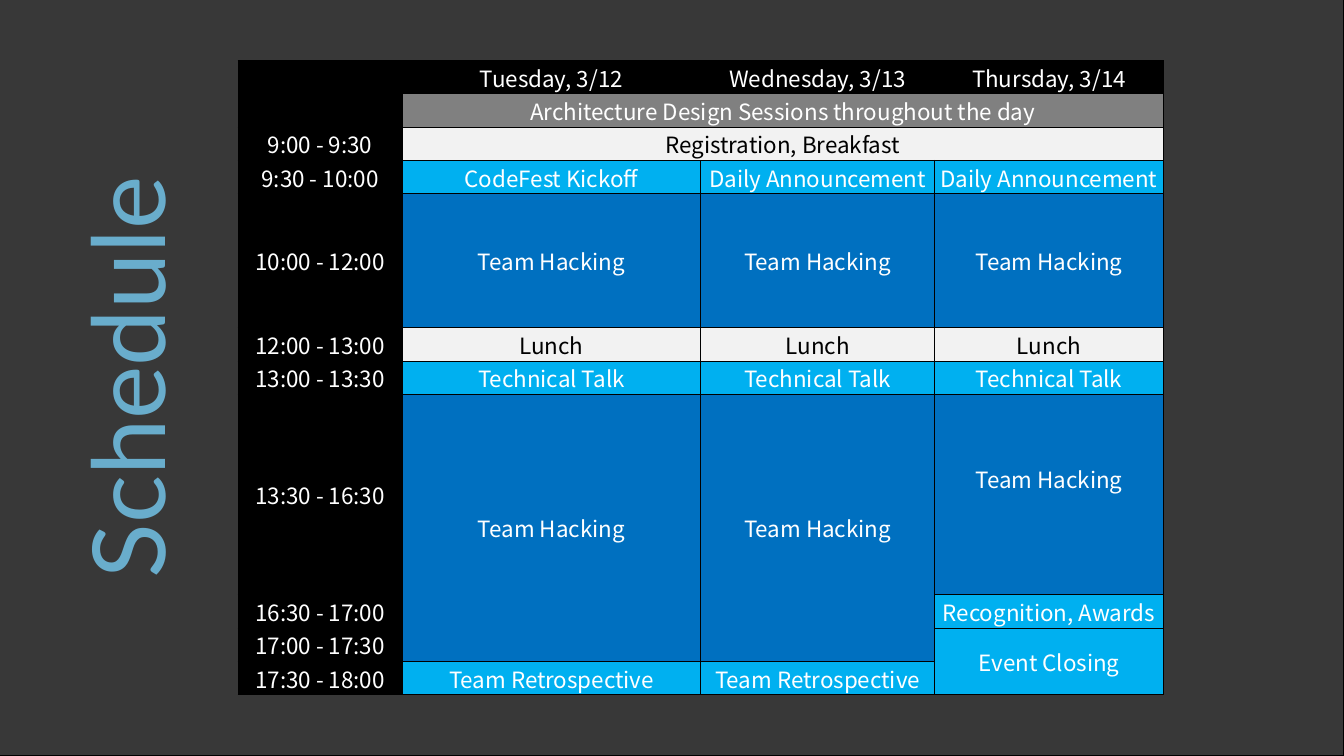
from dataclasses import dataclass

from lxml.etree import SubElement
from pptx import Presentation
from pptx.dml.color import RGBColor
from pptx.enum.shapes import MSO_SHAPE
from pptx.enum.text import MSO_ANCHOR, PP_ALIGN
from pptx.oxml.ns import qn
from pptx.util import Inches, Pt


@dataclass(frozen=True)
class Theme:
    black: str = "000000"
    white: str = "FFFFFF"
    title: str = "69ADCC"
    sessions: str = "808080"
    pause: str = "F2F2F2"
    event: str = "00B0F0"
    hacking: str = "0070C0"
    title_font: str = "Lato"
    table_font: str = "Noto Sans CJK SC"
    title_size: int = 72
    table_size: int = 16
    backdrop_opacity: int = 78
    border_width: float = 0.5


THEME = Theme()
COLUMN_WIDTHS = [1.63, 2.96, 2.32, 2.27]
SLOT_HEIGHT = 0.33
TALL_ROWS = {4: 1.33, 7: 1.99}
DAYS = ["Tuesday, 3/12", "Wednesday, 3/13", "Thursday, 3/14"]
FIRST_TIME_ROW = 2
TIMES = [
    "9:00 - 9:30", "9:30 - 10:00", "10:00 - 12:00", "12:00 - 13:00",
    "13:00 - 13:30", "13:30 - 16:30", "16:30 - 17:00", "17:00 - 17:30",
    "17:30 - 18:00",
]
# (row, column, rows spanned, columns spanned, fill, text)
SESSIONS = [
    (0, 0, 2, 1, THEME.black, ""),
    (1, 1, 1, 3, THEME.sessions, "Architecture Design Sessions throughout the day"),
    (2, 1, 1, 3, THEME.pause, "Registration, Breakfast"),
    (3, 1, 1, 1, THEME.event, "CodeFest Kickoff"),
    (3, 2, 1, 1, THEME.event, "Daily Announcement"),
    (3, 3, 1, 1, THEME.event, "Daily Announcement"),
    *[(4, day, 1, 1, THEME.hacking, "Team Hacking") for day in (1, 2, 3)],
    *[(5, day, 1, 1, THEME.pause, "Lunch") for day in (1, 2, 3)],
    *[(6, day, 1, 1, THEME.event, "Technical Talk") for day in (1, 2, 3)],
    *[(7, day, 3, 1, THEME.hacking, "Team Hacking") for day in (1, 2)],
    (7, 3, 1, 1, THEME.hacking, "Team Hacking"),
    (8, 3, 1, 1, THEME.event, "Recognition, Awards"),
    (9, 3, 2, 1, THEME.event, "Event Closing"),
    *[(10, day, 1, 1, THEME.event, "Team Retrospective") for day in (1, 2)],
]


def set_attributes(target, values):
    for name, value in values.items():
        setattr(target, name, value)


def write_centred(text_frame, text, font, size, color):
    paragraph = text_frame.paragraphs[0]
    paragraph.alignment = PP_ALIGN.CENTER
    run = paragraph.add_run()
    run.text = text
    set_attributes(run.font, {"name": font, "size": Pt(size), "bold": False})
    run.font.color.rgb = RGBColor.from_string(color)


def add_backdrop(slide):
    """Cover the slide with a translucent black rectangle."""
    backdrop = slide.shapes.add_shape(
        MSO_SHAPE.RECTANGLE, Inches(-0.03), Inches(-0.01), Inches(13.36), Inches(7.51))
    black = RGBColor.from_string(THEME.black)
    backdrop.shadow.inherit = False
    backdrop.fill.solid()
    backdrop.fill.fore_color.rgb = black
    backdrop.line.color.rgb = black
    backdrop.line.width = Pt(1)
    fill_color = backdrop.fill._xPr.find(qn("a:solidFill"))[0]
    SubElement(fill_color, qn("a:alpha"), val=str(THEME.backdrop_opacity * 1000))


def add_title(slide, text):
    title = slide.shapes.add_textbox(Inches(-2.5), Inches(3.09), Inches(7.5), Inches(1.31))
    title.rotation = 270
    title.text_frame.word_wrap = True
    write_centred(title.text_frame, text, THEME.title_font, THEME.title_size, THEME.title)


def add_borders(cell):
    properties = cell._tc.get_or_add_tcPr()
    for position, side in enumerate(("lnL", "lnR", "lnT", "lnB")):
        line = properties.makeelement(qn(f"a:{side}"), w=str(Pt(THEME.border_width)))
        fill = SubElement(line, qn("a:solidFill"))
        SubElement(fill, qn("a:srgbClr"), val=THEME.black)
        properties.insert(position, line)


def format_cell(cell):
    margin = Inches(0.01)
    set_attributes(cell, {
        "vertical_anchor": MSO_ANCHOR.MIDDLE,
        "margin_left": margin,
        "margin_right": margin,
        "margin_top": margin,
        "margin_bottom": 0,
    })
    add_borders(cell)


def fill_cell(cell, color, text):
    cell.fill.solid()
    cell.fill.fore_color.rgb = RGBColor.from_string(color)
    if text:
        text_color = THEME.black if color == THEME.pause else THEME.white
        write_centred(cell.text_frame, text, THEME.table_font, THEME.table_size, text_color)


def add_schedule(slide):
    row_count = FIRST_TIME_ROW + len(TIMES)
    heights = [TALL_ROWS.get(row, SLOT_HEIGHT) for row in range(row_count)]
    table = slide.shapes.add_table(
        row_count, len(COLUMN_WIDTHS), Inches(2.36), Inches(0.6),
        Inches(sum(COLUMN_WIDTHS)), Inches(sum(heights))).table
    set_attributes(table, {"first_row": False, "horz_banding": False})
    for column, width in zip(table.columns, COLUMN_WIDTHS):
        column.width = Inches(width)
    for row, height in zip(table.rows, heights):
        row.height = Inches(height)
    for cell in table.iter_cells():
        format_cell(cell)

    for column, day in enumerate(DAYS, 1):
        fill_cell(table.cell(0, column), THEME.black, day)
    for row, time in enumerate(TIMES, FIRST_TIME_ROW):
        fill_cell(table.cell(row, 0), THEME.black, time)
    for row, column, row_span, column_span, color, text in SESSIONS:
        cell = table.cell(row, column)
        if row_span * column_span > 1:
            cell.merge(table.cell(row + row_span - 1, column + column_span - 1))
        fill_cell(cell, color, text)
    # The last hacking block sits slightly above the middle of its cell.
    table.cell(7, 3).margin_bottom = Inches(0.32)


def main():
    presentation = Presentation()
    set_attributes(presentation, {"slide_width": Inches(13.33), "slide_height": Inches(7.5)})
    slide = presentation.slides.add_slide(presentation.slide_layouts[6])
    add_backdrop(slide)
    add_title(slide, "Schedule")
    add_schedule(slide)
    presentation.save("out.pptx")


if __name__ == "__main__":
    main()
